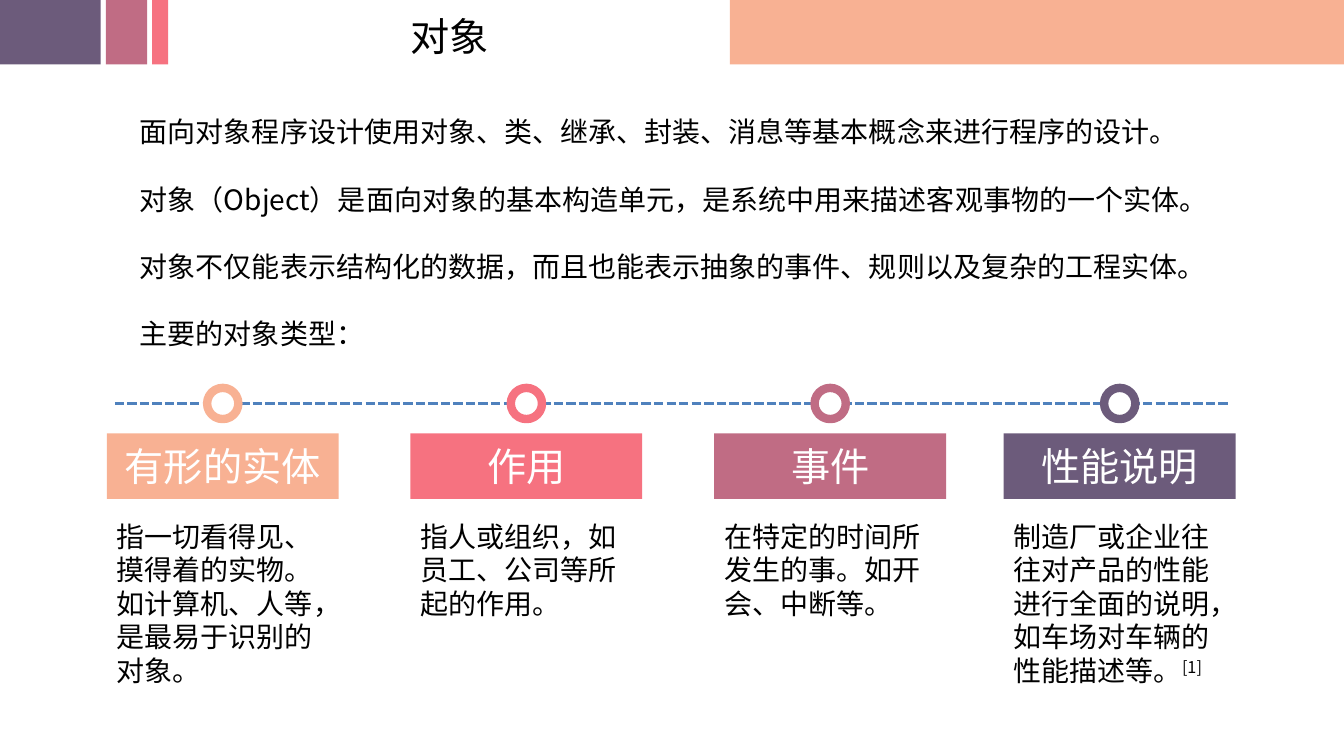
"""Builds a slide on objects and their four main types."""
import lxml.etree
import pptx
import pptx.dml.color
import pptx.enum.dml
import pptx.enum.lang
import pptx.enum.shapes
import pptx.enum.text
import pptx.oxml.ns
import pptx.util

PEACH, CORAL, ROSE, PLUM = "F8B193", "F67280", "C06C84", "6C5B7B"
WHITE, BLACK, BLUE = "FFFFFF", "000000", "4F81BD"
Pt = pptx.util.Pt
Shape = pptx.enum.shapes.MSO_SHAPE
Anchor = pptx.enum.text.MSO_ANCHOR
Align = pptx.enum.text.PP_ALIGN


def rgb(value):
    return pptx.dml.color.RGBColor.from_string(value)


def add_run(paragraph, text, size=20, color=BLACK, font="Noto Sans CJK SC", baseline=0):
    run = paragraph.add_run()
    run.text = text
    run.font.size = Pt(size)
    run.font.color.rgb = rgb(color)
    run.font.name = font
    run.font.language_id = pptx.enum.lang.MSO_LANGUAGE_ID.SIMPLIFIED_CHINESE
    properties = run._r.get_or_add_rPr()
    lxml.etree.SubElement(properties, pptx.oxml.ns.qn("a:ea"), typeface=font)
    if baseline:
        properties.set("baseline", str(baseline * 1000))


class ObjectSlide:
    def __init__(self, slide):
        self.shapes = slide.shapes

    def block(self, left, top, width, height, fill, kind=Shape.RECTANGLE, outline=None):
        block = self.shapes.add_shape(kind, Pt(left), Pt(top), Pt(width), Pt(height))
        block.shadow.inherit = False
        block.fill.solid()
        block.fill.fore_color.rgb = rgb(fill)
        if outline:
            block.line.color.rgb = rgb(outline)
            block.line.width = Pt(6)
        else:
            block.line.fill.background()
        return block

    def label(self, left, top, width, height, fill, text):
        frame = self.block(left, top, width, height, fill).text_frame
        frame.word_wrap = False
        frame.vertical_anchor = Anchor.MIDDLE
        frame.paragraphs[0].alignment = Align.CENTER
        add_run(frame.paragraphs[0], text, size=28, color=WHITE)

    def ring(self, center_x, center_y, diameter, color):
        self.block(center_x - diameter / 2, center_y - diameter / 2,
                   diameter, diameter, WHITE, Shape.OVAL, color)

    def text(self, left, top, width, height, lines, wrap=False, gap=0, note="", **style):
        frame = self.shapes.add_textbox(Pt(left), Pt(top), Pt(width), Pt(height)).text_frame
        frame.word_wrap = wrap
        frame.auto_size = pptx.enum.text.MSO_AUTO_SIZE.SHAPE_TO_FIT_TEXT
        for index, line in enumerate(lines):
            paragraph = frame.add_paragraph() if index else frame.paragraphs[0]
            if index and gap:
                paragraph.space_before = Pt(gap)
            add_run(paragraph, line, **style)
        if note:
            add_run(paragraph, note, baseline=30, **style)

    def dashed_line(self, left, right, y, color):
        line = self.shapes.add_connector(
            pptx.enum.shapes.MSO_CONNECTOR.STRAIGHT, Pt(left), Pt(y), Pt(right), Pt(y))
        line.line.color.rgb = rgb(color)
        line.line.width = Pt(2.25)
        line.line.dash_style = pptx.enum.dml.MSO_LINE.SQUARE_DOT
        lxml.etree.SubElement(line._element.spPr, pptx.oxml.ns.qn("a:effectLst"))


def main():
    deck = pptx.Presentation()
    deck.slide_width, deck.slide_height = Pt(960), Pt(540)
    page = ObjectSlide(deck.slides.add_slide(deck.slide_layouts[6]))

    header = [(521.4, 438.6, PEACH), (0, 72, PLUM), (75.6, 29.5, ROSE), (108.7, 11.5, CORAL)]
    for left, width, color in header:
        page.block(left, 0, width, 46, color)
    page.text(285.8, 5, 70.6, 41, ["对象"], size=28)

    introduction = [
        "面向对象程序设计使用对象、类、继承、封装、消息等基本概念来进行程序的设计。",
        "对象（Object）是面向对象的基本构造单元，是系统中用来描述客观事物的一个实体。",
        "对象不仅能表示结构化的数据，而且也能表示抽象的事件、规则以及复杂的工程实体。",
        "主要的对象类型：",
    ]
    page.text(92.8, 78.5, 774.7, 177, introduction, gap=24)

    page.dashed_line(82, 878.4, 288, BLUE)
    object_types = [
        (76.3, PEACH, "有形的实体", "指一切看得见、摸得着的实物。如计算机、人等，是最易于识别的对象。", 128, ""),
        (293.2, CORAL, "作用", "指人或组织，如员工、公司等所起的作用。", 80, ""),
        (510.2, ROSE, "事件", "在特定的时间所发生的事。如开会、中断等。", 80, ""),
        (717, PLUM, "性能说明",
         "制造厂或企业往往对产品的性能进行全面的说明，如车场对车辆的性能描述等。", 128, "[1]"),
    ]
    card_width = 165.6
    for left, color, name, description, height, note in object_types:
        page.label(left, 309.6, card_width, 46.8, color, name)
        page.ring(left + card_width / 2, 288.2, 22.3, color)
        page.text(left, 367.2, card_width, height, [description], wrap=True, note=note)

    deck.save("out.pptx")


if __name__ == "__main__":
    main()
